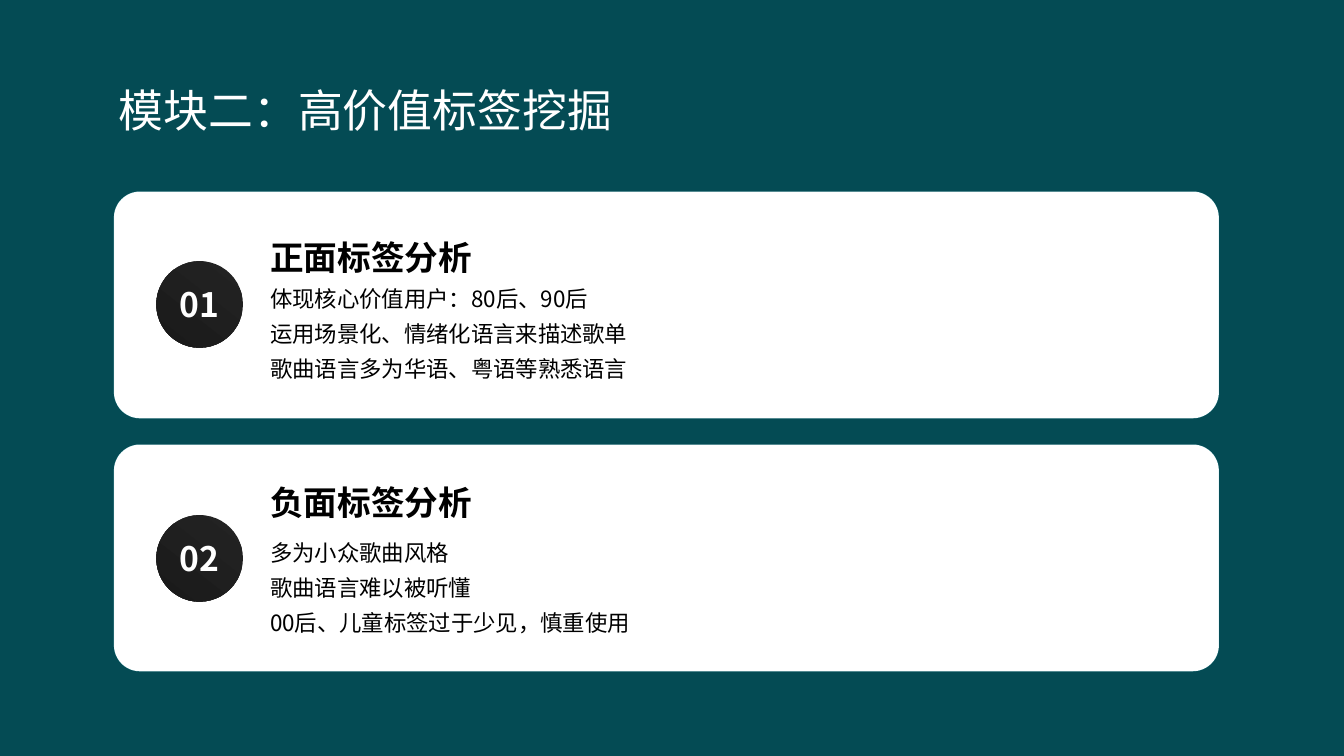
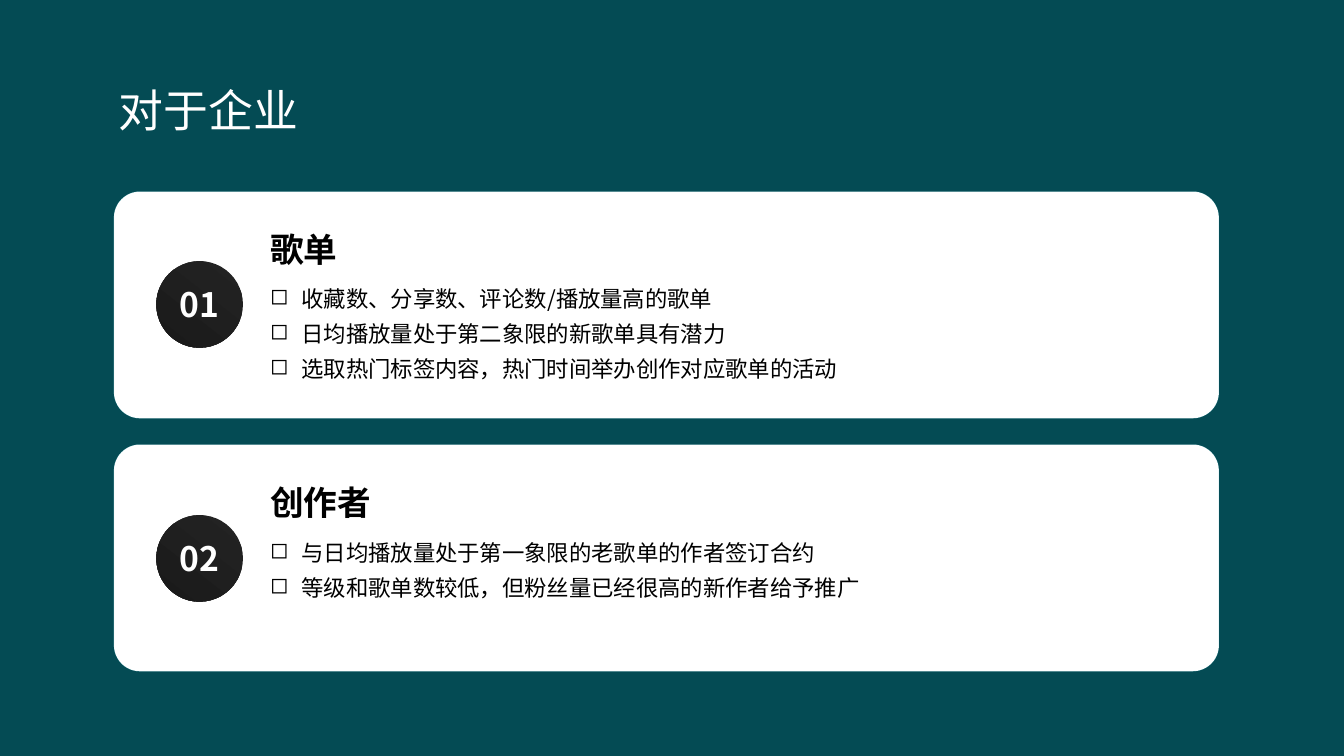
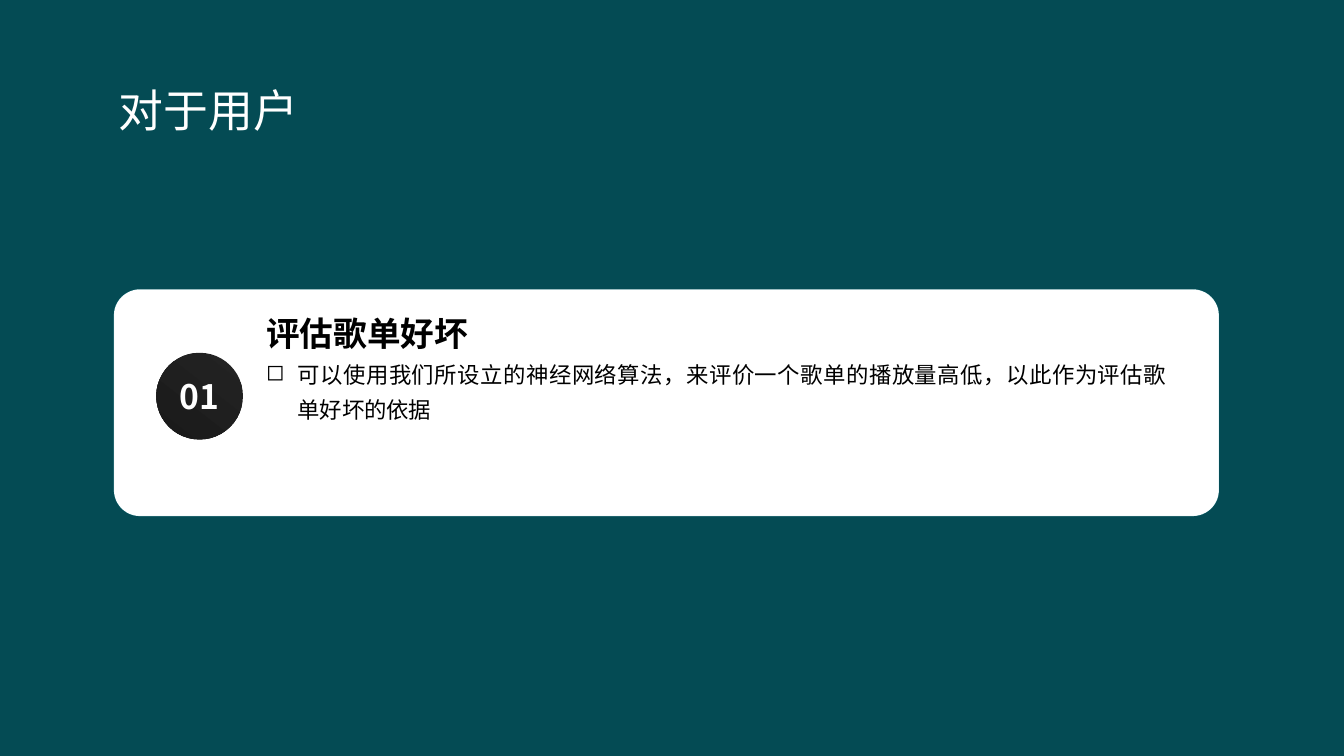
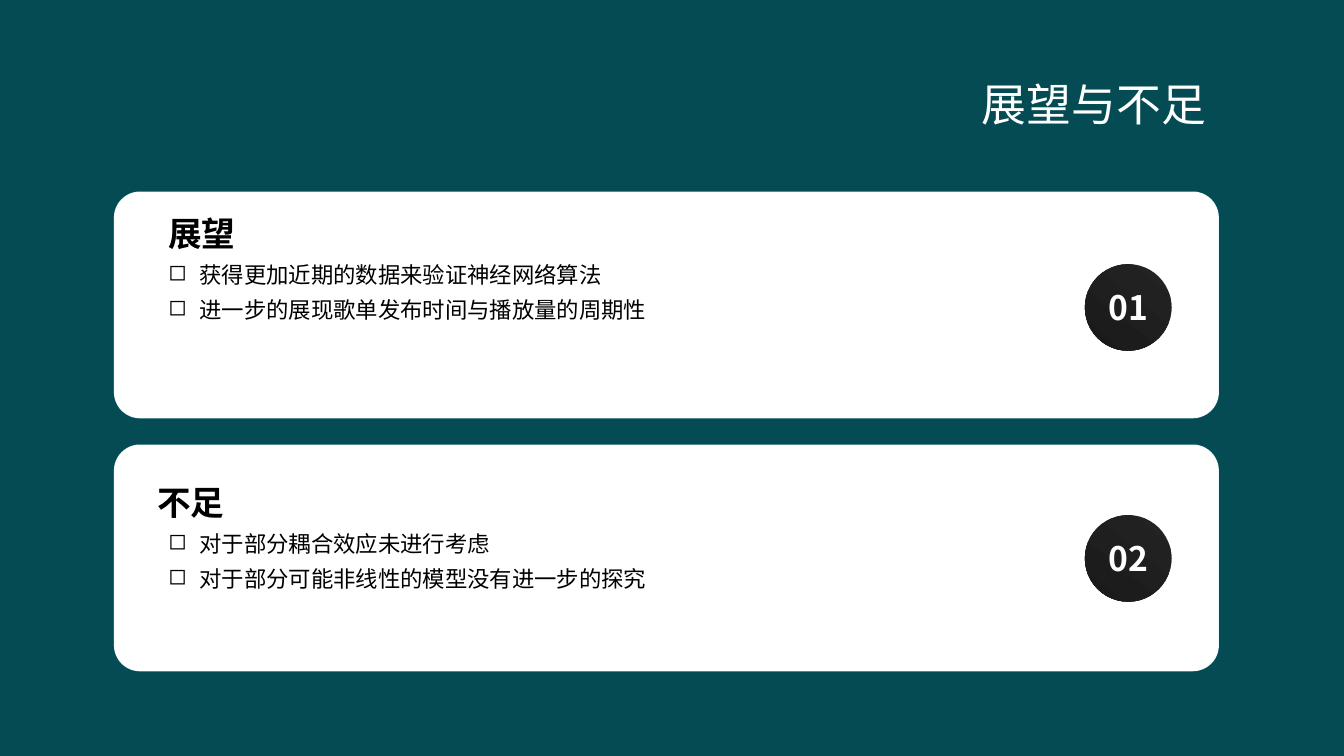
from dataclasses import dataclass

from lxml import etree
from pptx import Presentation
from pptx.dml.color import RGBColor
from pptx.enum.shapes import MSO_SHAPE
from pptx.enum.text import MSO_ANCHOR, MSO_AUTO_SIZE, PP_ALIGN
from pptx.oxml.ns import qn
from pptx.util import Emu, Pt

ROUNDED = MSO_SHAPE.ROUNDED_RECTANGLE
OVAL = MSO_SHAPE.OVAL
TOP, MIDDLE, BOTTOM = MSO_ANCHOR.TOP, MSO_ANCHOR.MIDDLE, MSO_ANCHOR.BOTTOM
GROW = MSO_AUTO_SIZE.SHAPE_TO_FIT_TEXT
LEFT, CENTER = PP_ALIGN.LEFT, PP_ALIGN.CENTER
RIGHT, JUSTIFY = PP_ALIGN.RIGHT, PP_ALIGN.JUSTIFY

EMU_PER_PX = 9144
SIDES = ("left", "top", "right", "bottom")


def px(length):
    return Emu(length * EMU_PER_PX)


@dataclass(frozen=True)
class Theme:
    background: str = "044B54"
    card: str = "FFFFFF"
    edge: str = "019AAD"
    edge_opacity: str = "20000"
    badge: tuple = ("232323", "1A1A1A")
    badge_angle: int = 232
    light: str = "FFFFFF"
    dark: str = "000000"
    title_font: str = "Arial"
    font: str = "Noto Sans CJK SC"
    title_size: int = 32
    heading_size: int = 24
    body_size: int = 16
    body_spacing: float = 1.3
    bullet: str = "◻"
    bullet_indent: int = 31


@dataclass(frozen=True)
class Card:
    top: int
    badge_top: int
    heading_top: int
    body_top: int
    heading: str
    lines: tuple
    badge_left: int = 155
    heading_left: int = 268
    body_left: int = 268
    bulleted: bool = True
    align: PP_ALIGN = JUSTIFY


class DeckBuilder:
    def __init__(self, theme):
        self.theme = theme
        self.deck = Presentation()
        self.deck.slide_width, self.deck.slide_height = px(1333), px(750)
        fill = self.deck.slide_master.background.fill
        fill.solid()
        fill.fore_color.rgb = RGBColor.from_string(theme.background)
        self.page = None

    def add_page(self, title, cards, title_at=(108, 77), title_align=JUSTIFY):
        self.page = self.deck.slides.add_slide(self.deck.slide_layouts[6])
        for card in cards:
            self.panel(card.top)
        self.title(title, title_at, title_align)
        for number, card in enumerate(cards, 1):
            self.badge(number, card.badge_left, card.badge_top)
            self.heading(card)
            self.body(card)

    def shape(self, kind, left, top, width, height):
        shape = self.page.shapes.add_shape(kind, *map(px, (left, top, width, height)))
        shape.shadow.inherit = False
        return shape

    def text_box(self, left, top, width, height):
        return self.page.shapes.add_textbox(*map(px, (left, top, width, height)))

    def set_text(self, box, lines, style, align, anchor=TOP, spacing=None):
        frame = box.text_frame
        frame.word_wrap = True
        frame.vertical_anchor = anchor
        for index, line in enumerate(lines):
            para = frame.add_paragraph() if index else frame.paragraphs[0]
            para.alignment = align
            para.line_spacing = spacing
            span = para.add_run()
            span.text = line
            self.style_span(span, style)
        return frame

    def style_span(self, span, style):
        font = span.font
        font.color.rgb = RGBColor.from_string(style["color"])
        for name, value in style["font"].items():
            setattr(font, name, value)
        east_asian = etree.SubElement(span._r.get_or_add_rPr(), qn("a:ea"))
        east_asian.set("typeface", self.theme.font)

    def style(self, size, color, bold=False, name=None):
        name = name or self.theme.font
        return {"color": color, "font": {"size": Pt(size), "bold": bold, "name": name}}

    def clear_margins(self, frame):
        for side in SIDES:
            setattr(frame, f"margin_{side}", 0)

    def title(self, text, at, align):
        theme = self.theme
        style = self.style(theme.title_size, theme.light, name=theme.title_font)
        frame = self.set_text(self.text_box(*at, 1152, 64), [text], style, align)
        frame.auto_size = GROW

    def panel(self, top):
        panel = self.shape(ROUNDED, 113, top, 1096, 225)
        panel.adjustments[0] = 0.115
        panel.fill.solid()
        panel.fill.fore_color.rgb = RGBColor.from_string(self.theme.card)
        panel.line.width = Pt(0.25)
        panel.line.color.rgb = RGBColor.from_string(self.theme.edge)
        color = panel.line._get_or_add_ln().find(".//" + qn("a:srgbClr"))
        etree.SubElement(color, qn("a:alpha")).set("val", self.theme.edge_opacity)

    def badge(self, number, left, top):
        theme = self.theme
        badge = self.shape(OVAL, left, top, 86, 86)
        badge.line.fill.background()
        badge.fill.gradient()
        badge.fill.gradient_angle = theme.badge_angle
        for stop, color in zip(badge.fill.gradient_stops, theme.badge):
            stop.color.rgb = RGBColor.from_string(color)
        style = self.style(theme.heading_size, theme.light, bold=True)
        self.clear_margins(self.set_text(badge, [f"{number:02}"], style, CENTER, MIDDLE))

    def heading(self, card):
        style = self.style(self.theme.heading_size, self.theme.dark, bold=True)
        box = self.text_box(card.heading_left, card.heading_top, 898, 48)
        self.clear_margins(self.set_text(box, [card.heading], style, card.align, BOTTOM))

    def body(self, card):
        theme = self.theme
        style = self.style(theme.body_size, theme.dark)
        box = self.text_box(card.body_left, card.body_top, 894, 121)
        frame = self.set_text(box, card.lines, style, card.align, spacing=theme.body_spacing)
        self.clear_margins(frame)
        if card.bulleted:
            for para in frame.paragraphs:
                self.add_bullet(para)

    def add_bullet(self, para):
        indent = px(self.theme.bullet_indent)
        properties = para._p.get_or_add_pPr()
        for name, value in {"marL": indent, "indent": -indent}.items():
            properties.set(name, str(value))
        etree.SubElement(properties, qn("a:buChar")).set("char", self.theme.bullet)


def main():
    builder = DeckBuilder(Theme())
    upper = {"top": 190, "badge_top": 259, "body_top": 275}
    lower = {"top": 441, "badge_top": 511, "heading_top": 470}

    builder.add_page("模块二：高价值标签挖掘", [
        Card(**upper, heading_top=227, heading="正面标签分析", bulleted=False, lines=(
            "体现核心价值用户：80后、90后",
            "运用场景化、情绪化语言来描述歌单",
            "歌曲语言多为华语、粤语等熟悉语言",
        )),
        Card(**lower, body_top=527, heading="负面标签分析", bulleted=False, lines=(
            "多为小众歌曲风格",
            "歌曲语言难以被听懂",
            "00后、儿童标签过于少见，慎重使用",
        )),
    ])

    builder.add_page("对于企业", [
        Card(**upper, heading_top=219, heading="歌单", lines=(
            "收藏数、分享数、评论数/播放量高的歌单",
            "日均播放量处于第二象限的新歌单具有潜力",
            "选取热门标签内容，热门时间举办创作对应歌单的活动",
        )),
        Card(**lower, body_top=527, heading="创作者", lines=(
            "与日均播放量处于第一象限的老歌单的作者签订合约",
            "等级和歌单数较低，但粉丝量已经很高的新作者给予推广",
        )),
    ])

    builder.add_page("对于用户", [
        Card(top=287, badge_top=350, heading_top=302, body_top=350,
             heading_left=264, body_left=264, heading="评估歌单好坏", lines=(
                 "可以使用我们所设立的神经网络算法，来评价一个歌单的播放量高低，"
                 "以此作为评估歌单好坏的依据",
             )),
    ])

    mirrored = {"badge_left": 1076, "body_left": 167, "align": LEFT}
    builder.add_page("展望与不足", [
        Card(**mirrored, top=190, badge_top=262, heading_top=203, body_top=251,
             heading_left=167, heading="展望", lines=(
                 "获得更加近期的数据来验证神经网络算法",
                 "进一步的展现歌单发布时间与播放量的周期性",
             )),
        Card(**mirrored, **lower, body_top=518, heading_left=156, heading="不足", lines=(
            "对于部分耦合效应未进行考虑",
            "对于部分可能非线性的模型没有进一步的探究",
        )),
    ], title_at=(54, 71), title_align=RIGHT)

    builder.deck.save("out.pptx")


if __name__ == "__main__":
    main()
